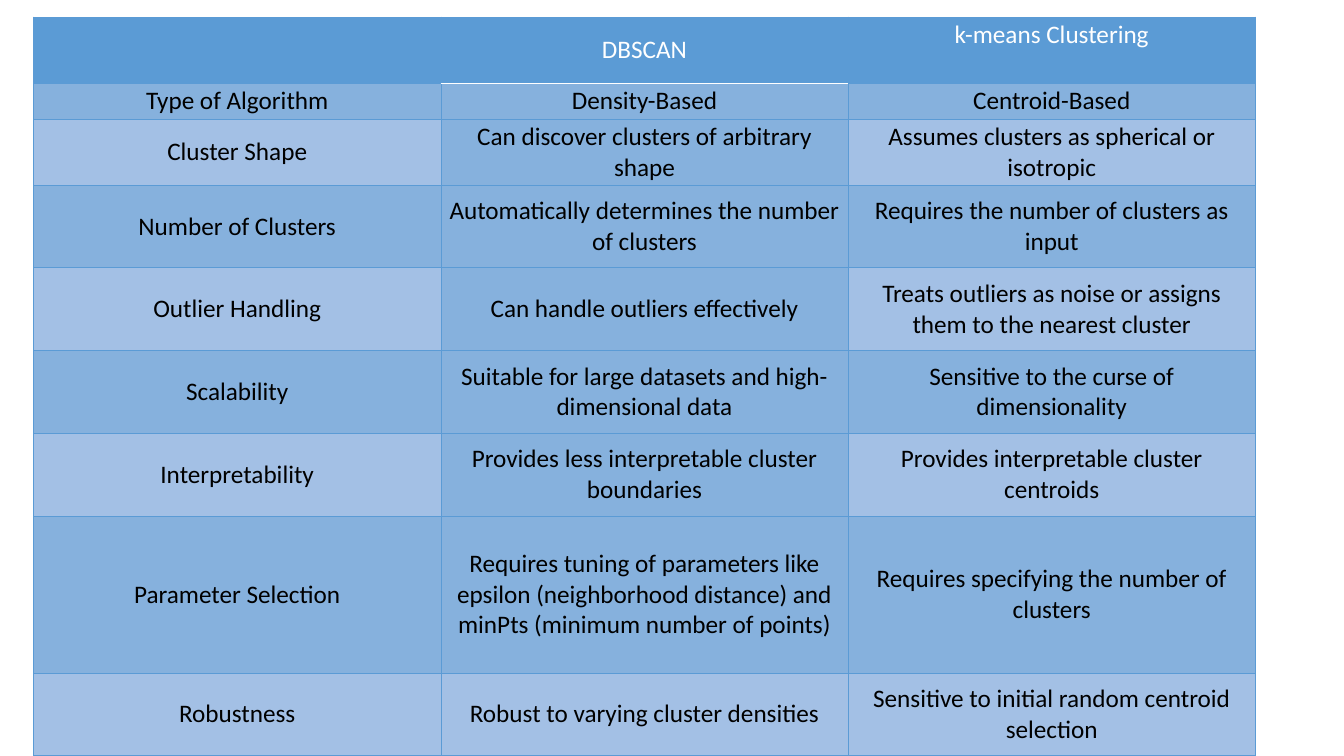
from lxml import etree
from pptx import Presentation
from pptx.dml.color import RGBColor
from pptx.enum.text import MSO_ANCHOR, PP_ALIGN
from pptx.oxml.ns import qn
from pptx.util import Pt

CENTER = PP_ALIGN.CENTER
TOP, MIDDLE = MSO_ANCHOR.TOP, MSO_ANCHOR.MIDDLE
COLORS = {"header": "5B9BD5", "dark": "86B1DD", "light": "A3C0E5",
          "white": "FFFFFF", "black": "000000"}

ROWS = [
    ("", "DBSCAN", "k-means Clustering"),
    ("Type of Algorithm", "Density-Based", "Centroid-Based"),
    ("Cluster Shape", "Can discover clusters of arbitrary shape",
     "Assumes clusters as spherical or isotropic"),
    ("Number of Clusters", "Automatically determines the number of clusters",
     "Requires the number of clusters as input"),
    ("Outlier Handling", "Can handle outliers effectively",
     "Treats outliers as noise or assigns them to the nearest cluster"),
    ("Scalability", "Suitable for large datasets and high-dimensional data",
     "Sensitive to the curse of dimensionality"),
    ("Interpretability", "Provides less interpretable cluster boundaries",
     "Provides interpretable cluster centroids"),
    ("Parameter Selection",
     "Requires tuning of parameters like epsilon (neighborhood distance) "
     "and minPts (minimum number of points)",
     "Requires specifying the number of clusters"),
    ("Robustness", "Robust to varying cluster densities",
     "Sensitive to initial random centroid selection"),
]
HEIGHTS = [47.2, 25.6, 47.2, 59.1, 59.1, 59.1, 59.1, 112.2, 59.1]
COL_WIDTH = 290.9


def set_border(cell, position, side, color, width):
    ln = etree.Element(qn("a:ln" + side), w=str(Pt(width)))
    fill = etree.SubElement(ln, qn("a:solidFill"))
    etree.SubElement(fill, qn("a:srgbClr"), val=color)
    cell._tc.get_or_add_tcPr().insert(position, ln)


prs = Presentation()
prs.slide_width, prs.slide_height = Pt(960), Pt(540)
s = prs.slides.add_slide(prs.slide_layouts[6])

# Table grid
table = s.shapes.add_table(len(ROWS), 3, Pt(24), Pt(12.2),
                           Pt(3 * COL_WIDTH), Pt(sum(HEIGHTS))).table
table.first_row = table.horz_banding = False
for column in table.columns:
    column.width = Pt(COL_WIDTH)
for row, height in zip(table.rows, HEIGHTS):
    row.height = Pt(height)

# Cells: banded rows, with a dark middle column above the last row
last = len(ROWS) - 1
for i, texts in enumerate(ROWS):
    for j, text in enumerate(texts):
        cell = table.cell(i, j)
        if i == 0:
            shade = "header"
        elif i % 2 or (j == 1 and i < last):
            shade = "dark"
        else:
            shade = "light"
        cell.fill.solid()
        cell.fill.fore_color.rgb = RGBColor.from_string(COLORS[shade])
        cell.margin_left = cell.margin_right = Pt(3.6)
        cell.margin_top = cell.margin_bottom = Pt(1.44)
        cell.vertical_anchor = TOP if (i, j) == (0, 2) else MIDDLE

        # Borders, with a white rule under the DBSCAN heading
        for position, side in enumerate("LRTB"):
            white = j == 1 and (i, side) in ((0, "B"), (1, "T"))
            set_border(cell, position, side,
                       COLORS["white" if white else "header"], 1 if white else 0.5)

        # Text
        if text:
            p = cell.text_frame.paragraphs[0]
            p.alignment = CENTER
            r = p.add_run()
            r.text = text
            r.font.name, r.font.size = "Calibri", Pt(18)
            r.font.color.rgb = RGBColor.from_string(
                COLORS["black" if i else "white"])

prs.save("out.pptx")
